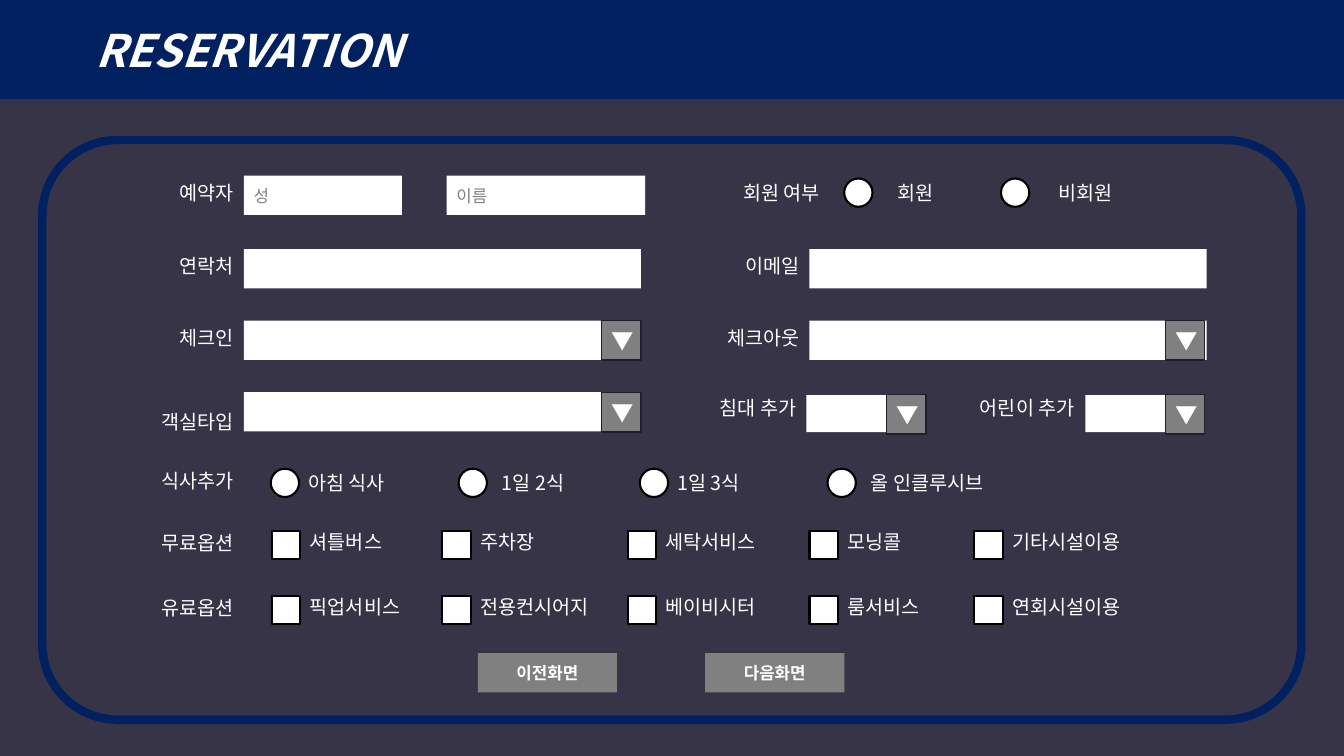
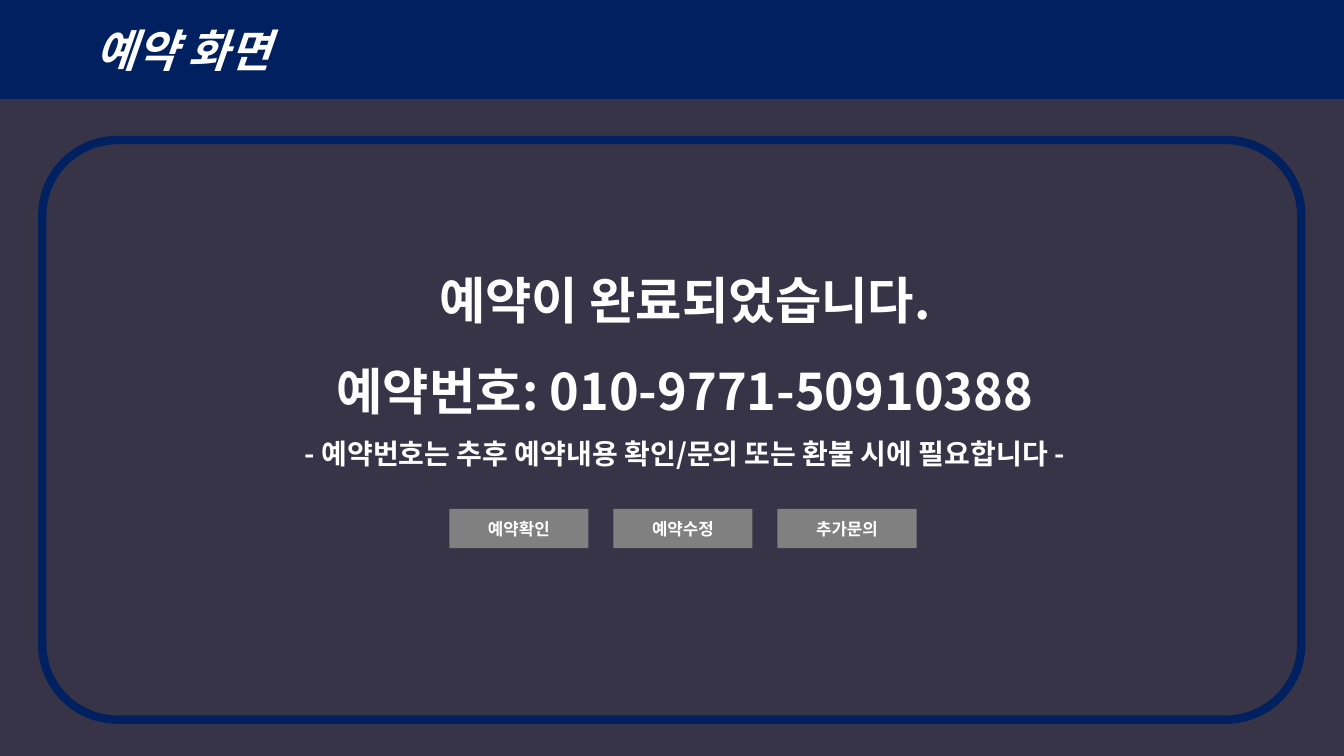
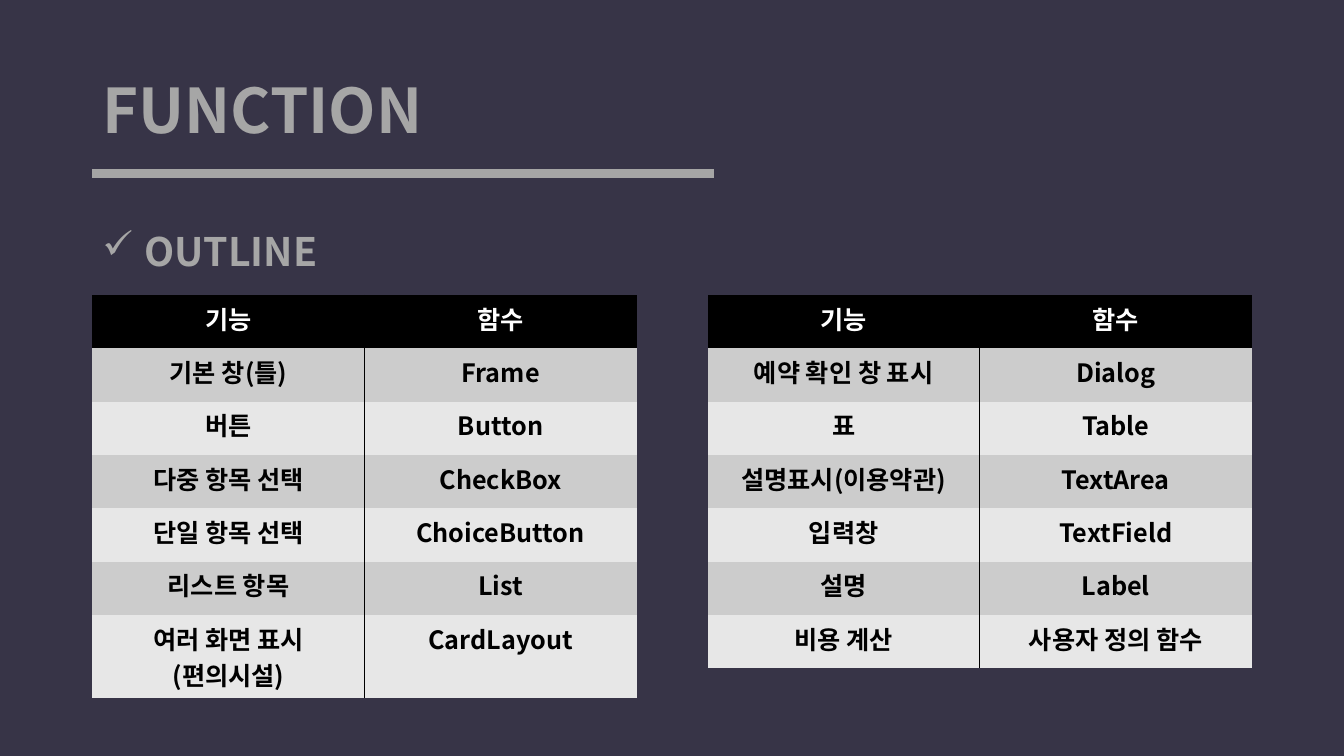
from pptx import Presentation
from pptx.dml.color import RGBColor
from pptx.enum import shapes, text
from pptx.oxml import ns
from pptx.util import Pt
from lxml import etree

NAVY = RGBColor(0x00, 0x20, 0x60)
DARK = RGBColor(0x37, 0x34, 0x47)
EDGE = RGBColor(0x20, 0x1E, 0x2A)
WHITE = RGBColor(0xFF, 0xFF, 0xFF)
BLACK = RGBColor(0x00, 0x00, 0x00)
GRAY = RGBColor(0x80, 0x80, 0x80)
SILVER = RGBColor(0xA6, 0xA6, 0xA6)
RULE = RGBColor(0xA5, 0xA5, 0xA5)
BANDS = [RGBColor(0xE7, 0xE7, 0xE7), RGBColor(0xCC, 0xCC, 0xCC)]
FONT = "Noto Sans CJK KR"
NO_GRID = "{2D5ABB26-0587-4C30-8999-92F81FD0307C}"
KIND = shapes.MSO_SHAPE
LEFT, MID, RIGHT = text.PP_ALIGN.LEFT, text.PP_ALIGN.CENTER, text.PP_ALIGN.RIGHT


def write(item, words, size=14, color=WHITE, bold=False, italic=False, align=LEFT, space=None):
    frame = item.text_frame
    for num, line in enumerate(words.split("\n")):
        para = frame.add_paragraph() if num else frame.paragraphs[0]
        para.alignment = align
        para.line_spacing = space
        run = para.add_run()
        run.text = line
        font = run.font
        font.size, font.bold, font.italic, font.name = Pt(size), bold, italic, FONT
        font.color.rgb = color
        etree.SubElement(run._r.get_or_add_rPr(), ns.qn("a:ea"), typeface=FONT)
    return frame


def draw(slide, kind, x, y, w, h, fill=None, line=None, width=1):
    place = [Pt(n) for n in (x, y, w, h)]
    if kind is None:
        item = slide.shapes.add_textbox(*place)
        item.text_frame.word_wrap = True
        item.text_frame.auto_size = text.MSO_AUTO_SIZE.SHAPE_TO_FIT_TEXT
        return item
    item = slide.shapes.add_shape(kind, *place)
    item.shadow.inherit = False
    if fill is None:
        item.fill.background()
    else:
        item.fill.solid()
        item.fill.fore_color.rgb = fill
    if line is None:
        item.line.fill.background()
    else:
        item.line.color.rgb = line
        item.line.width = Pt(width)
    return item


deck = Presentation()
deck.slide_width, deck.slide_height = Pt(960), Pt(540)
back = deck.slide_master.background.fill
back.solid()
back.fore_color.rgb = DARK
form, done, func = [deck.slides.add_slide(deck.slide_layouts[5]) for _ in range(3)]

for slide, name in ((form, "RESERVATION"), (done, "예약 화면")):
    band = slide.shapes.title
    band.left, band.top, band.width, band.height = Pt(0), Pt(0), Pt(960), Pt(70.6)
    band.fill.solid()
    band.fill.fore_color.rgb = NAVY
    frame = write(band, name, size=32, bold=True, italic=True)
    frame.auto_size = text.MSO_AUTO_SIZE.NONE
    frame.margin_left, frame.margin_right = Pt(68), Pt(14.4)
    panel = draw(slide, KIND.ROUNDED_RECTANGLE, 30.2, 100, 899.3, 414, line=NAVY, width=6)
    panel.adjustments[0] = 0.13

COL1, COL2 = 174.2, 578.2
ROW1, ROW2, ROW3, ROW4 = 125.5, 178, 229, 280.1
TALL, WIDE, DOT = 28.1, 283.7, 20.2

for word, right, top in (
    ("예약자", COL1, ROW1), ("회원 여부", 592.6, ROW1),
    ("회원", 673.9, ROW1), ("비회원", 802, ROW1),
    ("연락처", COL1, ROW2), ("이메일", COL2, ROW2),
    ("체크인", COL1, ROW3), ("체크아웃", COL2, ROW3),
    ("객실타입", COL1, 289), ("침대 추가", 576, 279.4), ("어린이 추가", 774.7, 279.4),
    ("식사추가", COL1, 331.2), ("무료옵션", COL1, 375.8), ("유료옵션", COL1, 421.9),
):
    write(draw(form, None, right - 110, top, 110, 24.5), word, align=RIGHT)

for x, y, w, h, hint in (
    (COL1, ROW1, 113, TALL, "성"), (319, ROW1, 141.8, TALL, "이름"),
    (COL1, ROW2, WIDE, TALL, ""), (COL2, ROW2, WIDE, TALL, ""),
    (COL1, ROW3, WIDE, TALL, ""), (COL2, ROW3, WIDE, TALL, ""),
    (COL1, ROW4, WIDE, TALL, ""), (576, 282.2, 57.6, 26.6, ""), (775.4, 282.2, 57.6, 26.6, ""),
):
    field = draw(form, KIND.RECTANGLE, x, y, w, h, fill=WHITE)
    if hint:
        write(field, hint, size=12, color=GRAY)

for x, y in ((429.8, ROW3), (832.3, ROW3), (429.8, 280.5), (633.4, 282), (832.3, 282)):
    drop = draw(form, KIND.RECTANGLE, x, y, TALL, TALL, fill=GRAY, line=EDGE)
    write(drop, "▼", size=16, align=MID)

for x in (603, 715):
    draw(form, KIND.OVAL, x, 127.5, DOT, DOT, fill=WHITE, line=BLACK, width=1.5)

for word, x, gap in (
    ("아침 식사", 193.4, 19.7), ("1일 2식", 327.6, 23.8),
    ("1일 3식", 457, 19.7), ("올 인클루시브", 591.1, 23.8),
):
    draw(form, KIND.OVAL, x, 334.8, DOT, DOT, fill=WHITE, line=BLACK, width=1.5)
    write(draw(form, None, x + gap, 332.6, 148, 24.5), word)

for row, words in enumerate((
    ("셔틀버스", "주차장", "세탁서비스", "모닝콜", "기타시설이용"),
    ("픽업서비스", "전용컨시어지", "베이비시터", "룸서비스", "연회시설이용"),
)):
    top = 375.1 + 46 * row
    for word, x in zip(words, (194.4, 316, 448.6, 578.2, 696)):
        draw(form, KIND.RECTANGLE, x, top + 4.3, DOT, DOT, fill=WHITE, line=BLACK, width=1.5)
        write(draw(form, None, x + 19.8, top, 118.8, 24.5), word)

for slide, left, step, top, words in (
    (form, 341.3, 162.4, 466.5, ("이전화면", "다음화면")),
    (done, 320.9, 117.2, 363.5, ("예약확인", "예약수정", "추가문의")),
):
    for num, word in enumerate(words):
        key = draw(slide, KIND.RECTANGLE, left + step * num, top, 99.4, TALL, fill=GRAY)
        write(key, word, size=12, bold=True, align=MID)

note = write(
    draw(done, None, 64, 167, 850.3, 170),
    "예약이 완료되었습니다.\n예약번호: 010-9771-50910388\n"
    "- 예약번호는 추후 예약내용 확인/문의 또는 환불 시에 필요합니다 -",
    size=36, bold=True, align=MID, space=1.5,
)
note.paragraphs[2].runs[0].font.size = Pt(20)

head = func.shapes.title
head.left, head.top, head.width, head.height = Pt(66), Pt(28.8), Pt(828), Pt(104.4)
frame = write(head, "FUNCTION", size=44, color=SILVER, bold=True, space=0.9)
frame.auto_size = text.MSO_AUTO_SIZE.NONE

rule = func.shapes.add_connector(
    shapes.MSO_CONNECTOR.STRAIGHT, Pt(66), Pt(123.8), Pt(509.8), Pt(123.8))
rule.line.color.rgb = RULE
rule.line.width = Pt(6)
etree.SubElement(rule.element.spPr, ns.qn("a:effectLst"))

frame = write(draw(func, None, 66, 162.7, 800, 44), "OUTLINE",
              size=28, color=SILVER, bold=True, space=0.9)
props = frame.paragraphs[0]._p.get_or_add_pPr()
props.set("marL", str(Pt(30)))
props.set("indent", str(-Pt(30)))
etree.SubElement(props, ns.qn("a:buChar"), char="✓")

LINE, LAST = 38.1, 59.5

for left, foot, rows in (
    (66, LAST, (
        ("기능", "함수"), ("기본 창(틀)", "Frame"), ("버튼", "Button"),
        ("다중 항목 선택", "CheckBox"), ("단일 항목 선택", "ChoiceButton"),
        ("리스트 항목", "List"), ("여러 화면 표시\n(편의시설)", "CardLayout"),
    )),
    (505.4, LINE, (
        ("기능", "함수"), ("예약 확인 창 표시", "Dialog"), ("표", "Table"),
        ("설명표시(이용약관)", "TextArea"), ("입력창", "TextField"),
        ("설명", "Label"), ("비용 계산", "사용자 정의 함수"),
    )),
):
    tall = LINE * (len(rows) - 1) + foot
    grid = func.shapes.add_table(len(rows), 2, Pt(left), Pt(210.7), Pt(388.8), Pt(tall))
    grid.element.find(".//" + ns.qn("a:tableStyleId")).text = NO_GRID
    for r, row in enumerate(rows):
        grid.table.rows[r].height = Pt(foot if r == len(rows) - 1 else LINE)
        for c, word in enumerate(row):
            cell = grid.table.cell(r, c)
            cell.fill.solid()
            cell.fill.fore_color.rgb = BANDS[r % 2] if r else BLACK
            write(cell, word, size=18, color=BLACK if r else WHITE, bold=True, align=MID)
            if c:
                side = etree.Element(ns.qn("a:lnL"), w=str(Pt(1)))
                tint = etree.SubElement(side, ns.qn("a:solidFill"))
                etree.SubElement(tint, ns.qn("a:srgbClr"), val=str(BLACK))
                cell._tc.get_or_add_tcPr().insert(0, side)

deck.save("out.pptx")
